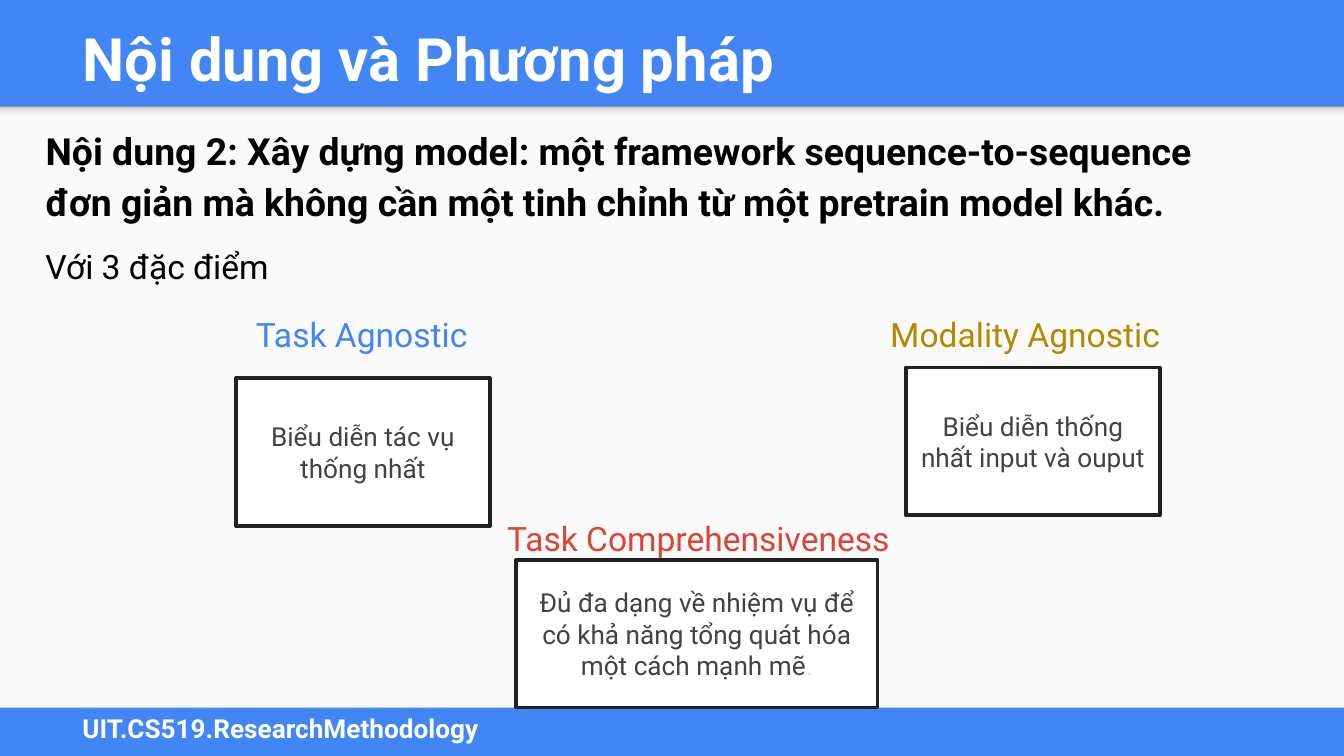
"""Build the slide on the three traits of a sequence-to-sequence framework."""
from copy import deepcopy

from pptx import Presentation
from pptx.dml.color import RGBColor
from pptx.enum.shapes import MSO_SHAPE
from pptx.enum.text import MSO_ANCHOR, PP_ALIGN
from pptx.oxml.ns import qn
from pptx.util import Pt

RECTANGLE = MSO_SHAPE.RECTANGLE
TOP, MIDDLE = MSO_ANCHOR.TOP, MSO_ANCHOR.MIDDLE
LEFT, CENTER = PP_ALIGN.LEFT, PP_ALIGN.CENTER
EMU_PER_PX = 4572
FONT = "Roboto"
COLORS = {
    "blue": "4285F4", "gold": "B78700", "red": "DB4437",
    "paper": "FAFAFA", "white": "FFFFFF", "black": "000000",
    "outline": "212121", "body": "424242", "faint": "E3E3E3",
    "mist": "F9F9F9", "silver": "DEDEDE", "gray": "999999",
}
SHADOW_STOPS = [(0, "mist"), (36, "mist"), (80, "silver"), (100, "gray")]


def px(length):
    return length * EMU_PER_PX


def rgb(name):
    return RGBColor.from_string(COLORS[name])


def write_text(frame, *runs, size=18, color="black", bold=False, align=LEFT,
               anchor=TOP, inset=(20, 20), indent=0, spacing=None):
    frame.word_wrap = True
    frame.vertical_anchor = anchor
    frame.margin_left = frame.margin_right = px(inset[0])
    frame.margin_top = frame.margin_bottom = px(inset[1])
    paragraph = frame.paragraphs[0]
    paragraph.alignment = align
    if spacing:
        paragraph.line_spacing = spacing
    if indent:
        properties = paragraph._p.get_or_add_pPr()
        properties.set("marL", str(px(indent)))
        properties.set("indent", "0")
    for entry in runs:
        words, run_color = (entry, color) if isinstance(entry, str) else entry
        run = paragraph.add_run()
        run.text = words
        run.font.name = FONT
        run.font.size = Pt(size)
        run.font.bold = bold
        run.font.color.rgb = rgb(run_color)


class SlideBuilder:
    def __init__(self, slide):
        self.slide = slide

    def background(self, color):
        fill = self.slide.background.fill
        fill.solid()
        fill.fore_color.rgb = rgb(color)

    def panel(self, box, color=None):
        panel = self.slide.shapes.add_shape(RECTANGLE, *map(px, box))
        panel.shadow.inherit = False
        panel.line.fill.background()
        if color:
            panel.fill.solid()
            panel.fill.fore_color.rgb = rgb(color)
        return panel

    def shadow_strip(self, box, stops):
        strip = self.panel(box)
        strip.fill.gradient()
        strip.fill.gradient_angle = 90
        stop_list = strip._element.spPr.find(qn("a:gradFill")).find(qn("a:gsLst"))
        while len(stop_list) < len(stops):
            stop_list.append(deepcopy(stop_list[0]))
        for stop, (percent, color) in zip(strip.fill.gradient_stops, stops):
            stop.position = percent / 100
            stop.color.rgb = rgb(color)

    def label(self, box, words, **style):
        label = self.slide.shapes.add_textbox(*map(px, box))
        write_text(label.text_frame, words, **style)

    def passage(self, box, words, **style):
        self.label(box, words, indent=20, spacing=1.15, **style)

    def card(self, box, *runs):
        card = self.panel(box, "white")
        card.line.color.rgb = rgb("outline")
        card.line.width = Pt(2)
        write_text(card.text_frame, *runs, size=14, color="body",
                   align=CENTER, anchor=MIDDLE, inset=(20, 10))


def main():
    deck = Presentation()
    deck.slide_width, deck.slide_height = px(2000), px(1125)
    page = SlideBuilder(deck.slides.add_slide(deck.slide_layouts[6]))

    page.background("blue")
    page.panel((0, 160, 2000, 893), "paper")
    page.shadow_strip((0, 157, 2000, 24), SHADOW_STOPS)
    banner = {"color": "white", "bold": True, "anchor": MIDDLE}
    page.label((103, 1051, 1778, 64), "UIT.CS519.ResearchMethodology", size=14, **banner)
    page.label((103, 13, 1798, 146), "Nội dung và Phương pháp", size=32, **banner)
    page.passage((28, 160, 1798, 178),
                 "Nội dung 2: Xây dựng model: một framework sequence-to-sequence "
                 "đơn giản mà không cần một tinh chỉnh từ một pretrain model khác.",
                 size=20, bold=True)
    page.passage((28, 337, 912, 114), "Với 3 đặc điểm")

    traits = [
        ("Task Agnostic", "blue", (341, 438, 398, 92), (351, 563, 378, 220),
         ["Biểu diễn tác vụ thống nhất"]),
        ("Modality Agnostic", "gold", (1285, 438, 504, 92), (1348, 547, 378, 220),
         ["Biểu diễn thống nhất input và ouput"]),
        ("Task Comprehensiveness", "red", (715, 742, 732, 92), (768, 833, 538, 220),
         ["Đủ đa dạng về nhiệm vụ để có khả năng tổng quát hóa một cách mạnh mẽ",
          (".", "faint")]),
    ]
    for trait, color, heading_box, card_box, explanation in traits:
        page.card(card_box, *explanation)
        page.passage(heading_box, trait, color=color)

    deck.save("out.pptx")


if __name__ == "__main__":
    main()
